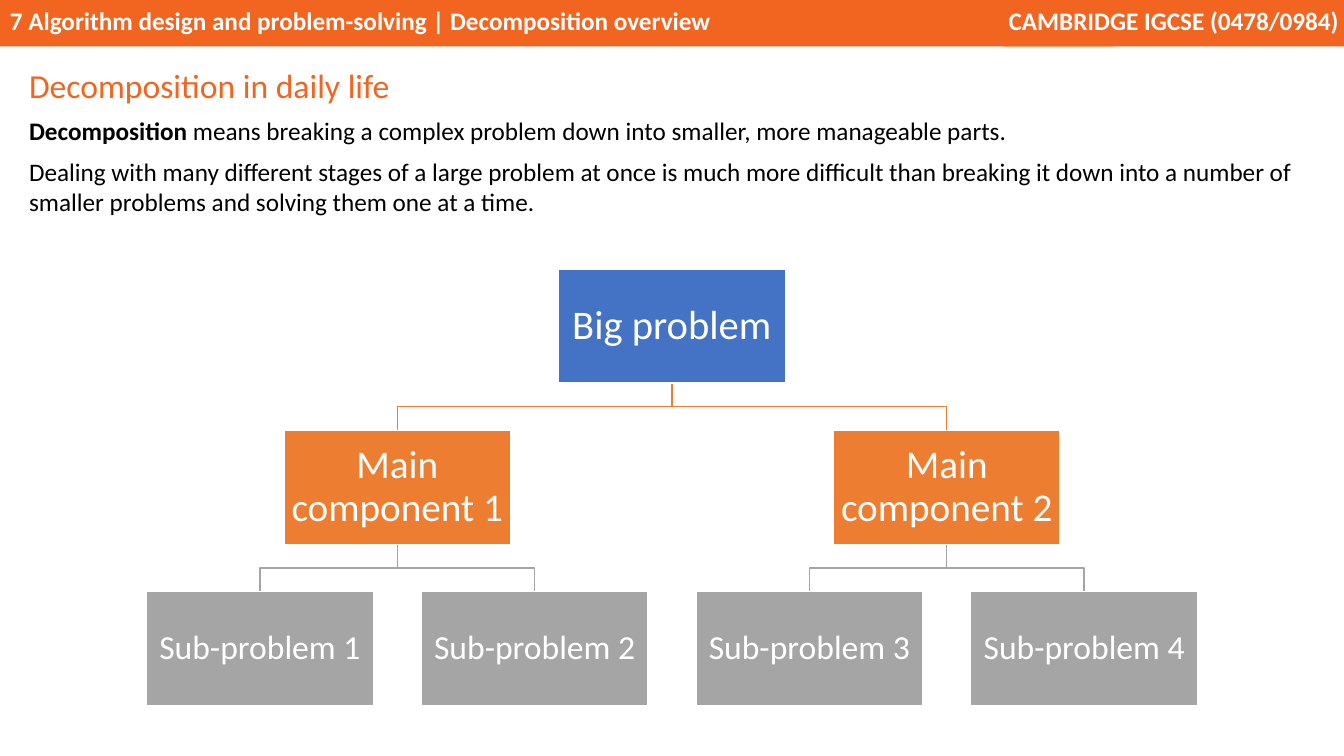
from dataclasses import dataclass

from pptx import Presentation
from pptx.dml.color import RGBColor
from pptx.enum.shapes import MSO_SHAPE
from pptx.enum.text import MSO_ANCHOR, PP_ALIGN
from pptx.util import Inches, Pt


@dataclass(frozen=True)
class Theme:
    font: str = "Calibri"
    accent: str = "F26521"
    ink: str = "000000"
    paper: str = "FFFFFF"
    levels: tuple = ("4472C4", "ED7D31", "A5A5A5")
    level_sizes: tuple = (29, 28, 24)
    title_size: int = 24
    body_size: int = 18
    line: float = 1


class Deck:
    width, height = 13.33, 7.5
    col, row = 2.725, 1.6
    box_w, box_h = 2.25, 1.13
    tree_top = 2.67

    def __init__(self, theme):
        self.theme = theme
        self.prs = Presentation()
        self.prs.slide_width = Inches(self.width)
        self.prs.slide_height = Inches(self.height)
        self.s = self.prs.slides.add_slide(self.prs.slide_layouts[6])

    def fill_text(self, sp, paragraphs, size, color, frame=None, para=None):
        tf = sp.text_frame
        for name, value in {"word_wrap": True, **(frame or {})}.items():
            setattr(tf, name, value)
        for i, runs in enumerate(paragraphs):
            p = tf.add_paragraph() if i else tf.paragraphs[0]
            for name, value in {"alignment": PP_ALIGN.LEFT, **(para or {})}.items():
                setattr(p, name, value)
            for text, bold in runs:
                r = p.add_run()
                r.text = text
                fmt = {"name": self.theme.font, "size": Pt(size), "bold": bold}
                for name, value in fmt.items():
                    setattr(r.font, name, value)
                r.font.color.rgb = RGBColor.from_string(color)

    def rect(self, x, y, w, h, fill, line=None):
        sp = self.s.shapes.add_shape(MSO_SHAPE.RECTANGLE, *map(Inches, (x, y, w, h)))
        sp.shadow.inherit = False
        sp.fill.solid()
        sp.fill.fore_color.rgb = RGBColor.from_string(fill)
        self.outline(sp, line)
        return sp

    def outline(self, sp, color):
        if color:
            sp.line.color.rgb = RGBColor.from_string(color)
            sp.line.width = Pt(self.theme.line)
        else:
            sp.line.fill.background()

    def banner(self, x, w, text, frame=None, para=None):
        sp = self.rect(x, 0, w, 0.46, self.theme.accent)
        frame = {"vertical_anchor": MSO_ANCHOR.TOP, **(frame or {})}
        self.fill_text(sp, [[(text, True)]], self.theme.body_size, self.theme.paper, frame, para)

    def text(self, x, y, w, h, paragraphs, size, color, para):
        sp = self.s.shapes.add_textbox(*map(Inches, (x, y, w, h)))
        self.fill_text(sp, paragraphs, size, color, para=para)

    def node_top(self, column, level):
        return self.width / 2 + (column - 1.5) * self.col, self.tree_top + level * self.row

    def branch(self, parent, child, level):
        x1, y1 = self.node_top(parent, level - 1)
        x2, y2 = self.node_top(child, level)
        y1 += self.box_h
        middle = (y1 + y2) / 2
        points = [(Inches(x), Inches(y)) for x, y in ((x1, y1), (x1, middle), (x2, middle), (x2, y2))]
        builder = self.s.shapes.build_freeform(*points[0])
        builder.add_line_segments(points[1:], close=False)
        sp = builder.convert_to_shape()
        sp.shadow.inherit = False
        sp.fill.background()
        self.outline(sp, self.theme.levels[level])

    def node(self, column, level, label):
        x, y = self.node_top(column, level)
        sp = self.rect(x - self.box_w / 2, y, self.box_w, self.box_h,
                       self.theme.levels[level], self.theme.paper)
        sides = ("margin_left", "margin_top", "margin_right", "margin_bottom")
        frame = {"vertical_anchor": MSO_ANCHOR.MIDDLE, **dict.fromkeys(sides, Inches(0.02))}
        self.fill_text(sp, [[(label, False)]], self.theme.level_sizes[level], self.theme.paper,
                       frame, {"alignment": PP_ALIGN.CENTER, "line_spacing": 0.9})


def main():
    theme = Theme()
    deck = Deck(theme)
    deck.banner(0, 11.04, "7 Algorithm design and problem-solving | Decomposition overview")
    deck.banner(9.95, 3.38, "CAMBRIDGE IGCSE (0478/0984)",
                {"margin_left": 0, "margin_right": Inches(0.05)}, {"alignment": PP_ALIGN.RIGHT})

    mains, subs = (0.5, 2.5), range(4)
    for column in mains:
        deck.branch(1.5, column, 1)
    for column in subs:
        deck.branch(mains[column // 2], column, 2)
    deck.node(1.5, 0, "Big problem")
    for number, column in enumerate(mains, 1):
        deck.node(column, 1, f"Main component {number}")
    for column in subs:
        deck.node(column, 2, f"Sub-problem {column + 1}")

    deck.text(0.19, 1.09, 12.92, 1.22, [
        [("Decomposition", True),
         (" means breaking a complex problem down into smaller, more manageable parts.", False)],
        [("Dealing with many different stages of a large problem at once is much more difficult "
          "than breaking it down into a number of smaller problems and solving them one at a time.",
          False)],
    ], theme.body_size, theme.ink, {"space_after": Pt(8)})
    deck.text(0.19, 0.57, 7.09, 0.51, [[("Decomposition in daily life", False)]],
              theme.title_size, theme.accent, {"line_spacing": 1.07, "space_after": Pt(8)})
    deck.prs.save("out.pptx")


if __name__ == "__main__":
    main()
